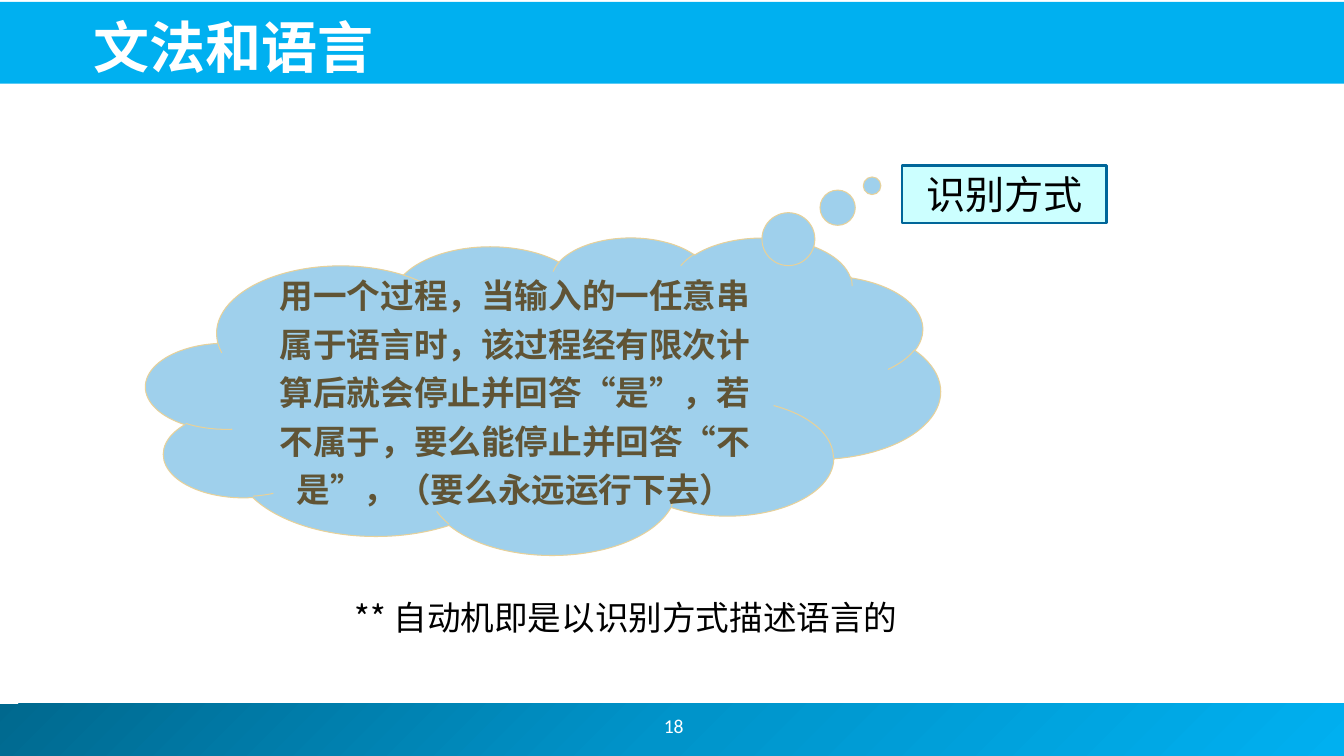
from copy import deepcopy
from dataclasses import dataclass

from pptx import Presentation
from pptx.dml.color import RGBColor
from pptx.enum import shapes, text
from pptx.oxml import ns
from pptx.util import Cm, Pt


@dataclass(frozen=True)
class Theme:
    white: str = "FFFFFF"
    black: str = "000000"
    sky: str = "00B0F0"
    footer_stops: tuple[str, ...] = ("00688E", "0094CA", "00B0F0")
    label_fill: str = "CCFFFF"
    label_line: str = "006699"
    cloud_fill: str = "9FD0EC"
    cloud_line: str = "E7D19A"
    cloud_text: str = "605435"
    heading_font: str = "Noto Sans CJK JP"
    body_font: str = "Noto Sans CJK SC"
    quote_font: str = "Times New Roman"
    number_font: str = "Calibri"
    title_size: int = 40
    label_size: int = 28
    body_size: int = 24
    number_size: int = 14


@dataclass(frozen=True)
class Box:
    left: float
    top: float
    width: float
    height: float

    def lengths(self) -> tuple:
        return Cm(self.left), Cm(self.top), Cm(self.width), Cm(self.height)


@dataclass(frozen=True)
class Style:
    font: str
    size: int
    color: str
    bold: bool = False


THEME = Theme()


def add_filled(slide, kind, box: Box, fill: str, line: str = "", line_width: float = 0):
    shape = slide.shapes.add_shape(kind, *box.lengths())
    shape.shadow.inherit = False
    shape.fill.solid()
    shape.fill.fore_color.rgb = RGBColor.from_string(fill)
    if line:
        shape.line.color.rgb = RGBColor.from_string(line)
        shape.line.width = Pt(line_width)
    else:
        shape.line.fill.background()
    return shape


def format_run(run, style: Style, east_asian_font: str = "") -> None:
    run.font.name = style.font
    run.font.size = Pt(style.size)
    run.font.bold = style.bold
    run.font.color.rgb = RGBColor.from_string(style.color)
    east_asian = run.font._element.makeelement(ns.qn("a:ea"), {"typeface": east_asian_font or style.font})
    run.font._element.find(ns.qn("a:latin")).addnext(east_asian)


def write(shape, words: str, style: Style, align, anchor):
    frame = shape.text_frame
    frame.text = words
    frame.word_wrap = True
    frame.vertical_anchor = anchor
    paragraph = frame.paragraphs[0]
    paragraph.alignment = align
    format_run(paragraph.runs[0], style)
    return paragraph


def add_bars(slide) -> None:
    footer = add_filled(slide, shapes.MSO_SHAPE.RECTANGLE, Box(-0.13, 17.73, 34.01, 1.32), THEME.sky)
    footer.fill.gradient()
    footer.fill.gradient_angle = 315
    first_stop = footer._element.spPr.find(".//" + ns.qn("a:gs"))
    first_stop.addnext(deepcopy(first_stop))
    for index, (stop, color) in enumerate(zip(footer.fill.gradient_stops, THEME.footer_stops)):
        stop.position = index / 2
        stop.color.rgb = RGBColor.from_string(color)
    add_filled(slide, shapes.MSO_SHAPE.RECTANGLE, Box(-0.05, 0.05, 33.93, 2.06), THEME.sky)


def add_title(slide) -> None:
    title = slide.shapes.title
    title.left, title.top, title.width, title.height = Box(2.11, 0.13, 30.63, 2.01).lengths()
    write(title, "文法和语言", Style(THEME.heading_font, THEME.title_size, THEME.white, True),
          text.PP_ALIGN.LEFT, text.MSO_ANCHOR.BOTTOM)
    title.text_frame.auto_size = text.MSO_AUTO_SIZE.NONE
    # Bring the title in front of the header bar
    slide.shapes._spTree.append(title._element)


def add_cloud(slide) -> None:
    cloud = add_filled(slide, shapes.MSO_SHAPE.CLOUD_CALLOUT, Box(3.68, 5.97, 20.02, 8),
                       THEME.cloud_fill, THEME.cloud_line, 0.75)
    cloud.adjustments[0], cloud.adjustments[1] = 0.414, -0.661
    cloud.text_frame.word_wrap = True
    cloud.text_frame.vertical_anchor = text.MSO_ANCHOR.MIDDLE
    paragraph = cloud.text_frame.paragraphs[0]
    paragraph.alignment = text.PP_ALIGN.CENTER
    paragraph.line_spacing = 1.2
    # Quotation marks alternate with the wording
    pieces = ("用一个过程，当输入的一任意串属于语言时，该过程经有限次计算后就会停止并回答", "“", "是", "”",
              "，若不属于，要么能停止并回答", "“", "不是", "”", "，（要么永远运行下去）")
    for piece in pieces:
        run = paragraph.add_run()
        run.text = piece
        font = THEME.quote_font if piece in "“”" else THEME.heading_font
        format_run(run, Style(font, THEME.body_size, THEME.cloud_text, True), THEME.heading_font)


def add_note(slide) -> None:
    note = slide.shapes.add_textbox(*Box(4.88, 14.91, 22.61, 1.68).lengths())
    paragraph = write(note, "** 自动机即是以识别方式描述语言的",
                      Style(THEME.body_font, THEME.body_size, THEME.black),
                      text.PP_ALIGN.LEFT, text.MSO_ANCHOR.TOP)
    paragraph.level = 3
    paragraph.space_before = Pt(0.2 * THEME.body_size)
    properties = paragraph._p.get_or_add_pPr()
    properties.set("marL", str(Cm(4.45)))
    properties.set("indent", str(Cm(-0.64)))


def main() -> None:
    presentation = Presentation()
    presentation.slide_width, presentation.slide_height = Cm(33.87), Cm(19.05)
    slide = presentation.slides.add_slide(presentation.slide_layouts[5])

    # Header, footer and slide number
    add_bars(slide)
    number = slide.shapes.add_textbox(*Box(13.31, 17.65, 7.34, 1.27).lengths())
    write(number, "18", Style(THEME.number_font, THEME.number_size, THEME.white),
          text.PP_ALIGN.CENTER, text.MSO_ANCHOR.MIDDLE)
    add_title(slide)

    # Label, its thought cloud and the closing note
    label = add_filled(slide, shapes.MSO_SHAPE.RECTANGLE, Box(22.73, 4.17, 5.16, 1.45),
                       THEME.label_fill, THEME.label_line, 1.75)
    write(label, "识别方式", Style(THEME.body_font, THEME.label_size, THEME.black),
          text.PP_ALIGN.CENTER, text.MSO_ANCHOR.TOP)
    add_cloud(slide)
    add_note(slide)

    presentation.save("out.pptx")


if __name__ == "__main__":
    main()
